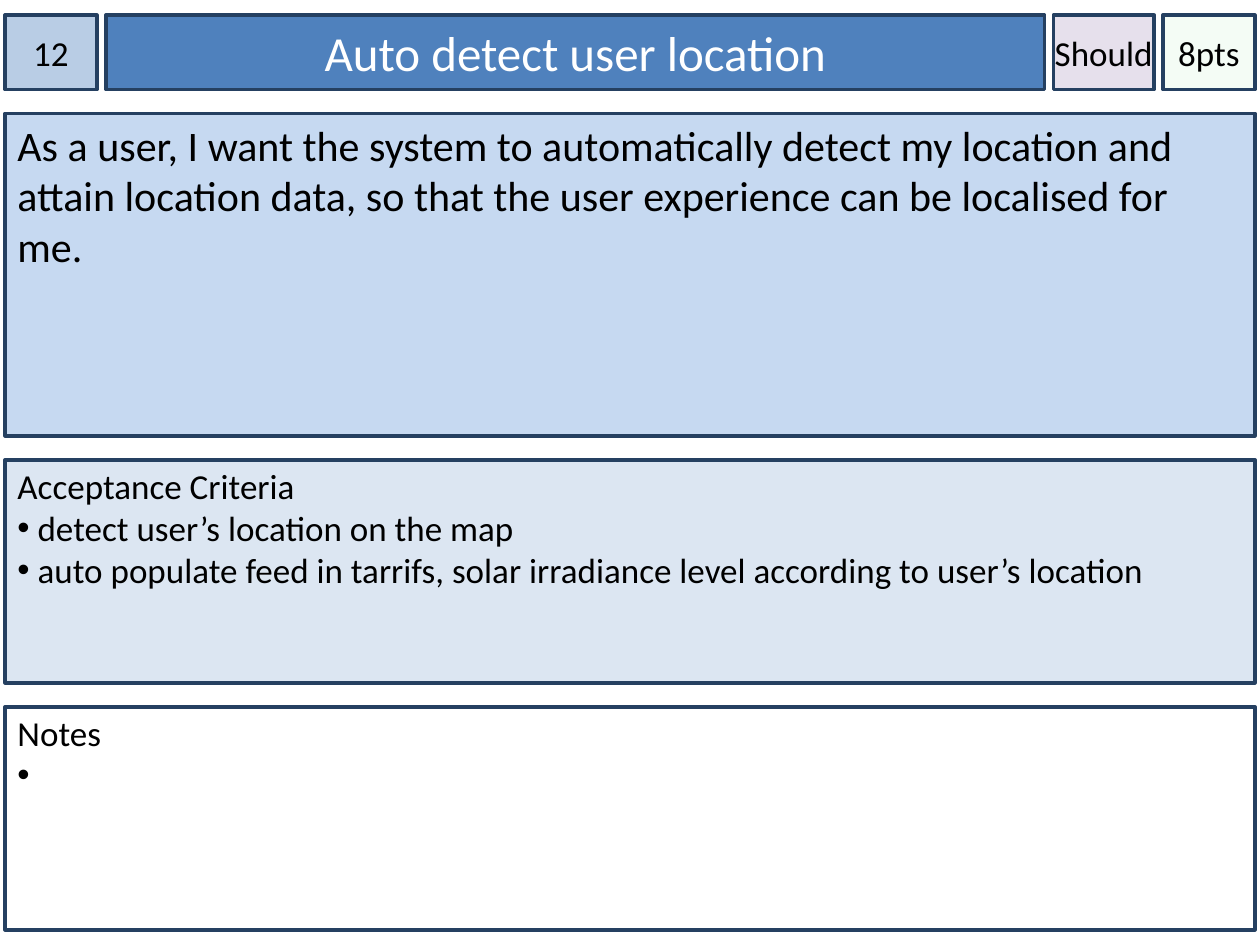
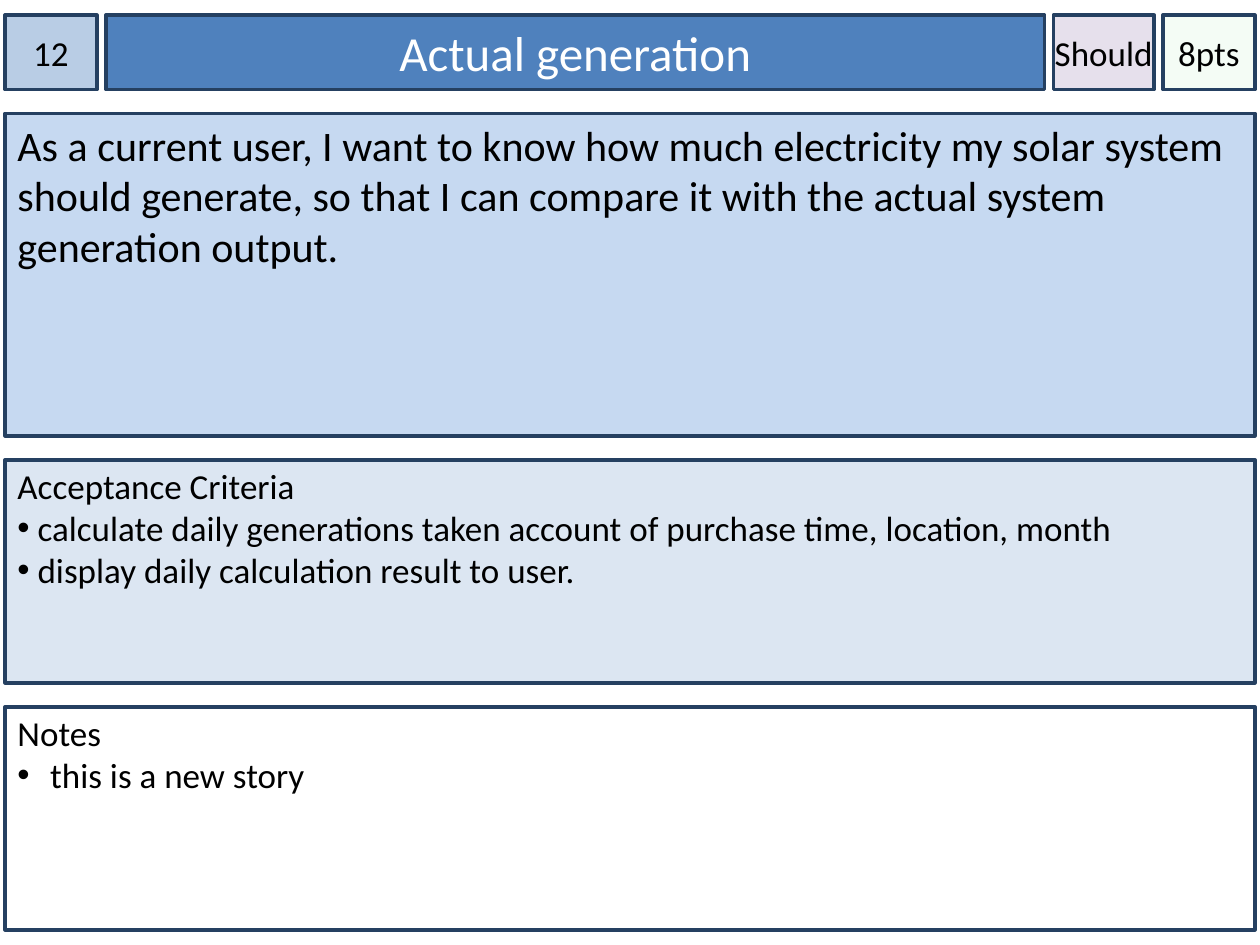
from dataclasses import dataclass
from itertools import accumulate

from lxml.etree import SubElement
from pptx import Presentation
from pptx.dml.color import RGBColor
from pptx.enum.shapes import MSO_SHAPE
from pptx.enum.text import MSO_ANCHOR, PP_ALIGN
from pptx.oxml.ns import qn
from pptx.util import Inches, Pt


# Shared look
@dataclass(frozen=True)
class Theme:
    font: str = "Calibri"
    ink: str = "000000"
    title_ink: str = "FFFFFF"
    outline: str = "254061"
    number_fill: str = "B9CDE5"
    title_fill: str = "4F81BD"
    priority_fill: str = "E6E0EC"
    points_fill: str = "CCF0CD"
    story_fill: str = "C6D9F1"
    criteria_fill: str = "DCE6F2"
    remarks_fill: str = "FFFFFF"
    title_size: int = 28
    story_size: int = 24
    label_size: int = 20
    outline_width: int = 2


@dataclass(frozen=True)
class Card:
    number: str
    title: str
    priority: str
    points: str
    story: str
    criteria: tuple[str, ...]
    remarks: tuple[str, ...]


@dataclass(frozen=True)
class Track:
    """One column or row of the grid, in inches."""
    start: float
    size: float


THEME = Theme()
PAGE_WIDTH, PAGE_HEIGHT = 10, 7.5


def tracks(first: float, gap: float, sizes: tuple[float, ...]) -> list[Track]:
    """Lay sizes one after another with an equal gap."""
    starts = accumulate((size + gap for size in sizes[:-1]), initial=first)
    return [Track(start, size) for start, size in zip(starts, sizes)]


# Grid: four header columns, one full-width column, four rows
MARGIN = 0.04
COLUMNS = tracks(MARGIN, 0.07, (0.73, 7.45, 0.8, 0.73))
FULL_WIDTH = Track(MARGIN, PAGE_WIDTH - 2 * MARGIN)
HEADER, STORY, CRITERIA, REMARKS = tracks(0.12, 0.19, (0.59, 2.56, 1.77, 1.77))


def add_box(page, column: Track, row: Track, fill: str, *, opacity: int = 100,
            side_inset: float = 0.1, top_inset: float = 0.05,
            anchor=MSO_ANCHOR.TOP, wrap: bool = True):
    """Draw an outlined rectangle and return its text frame."""
    box = page.shapes.add_shape(
        MSO_SHAPE.RECTANGLE, Inches(column.start), Inches(row.start),
        Inches(column.size), Inches(row.size))
    box.shadow.inherit = False
    box.fill.solid()
    box.fill.fore_color.rgb = RGBColor.from_string(fill)
    if opacity < 100:
        color = box.element.spPr.find(qn("a:solidFill"))[0]
        SubElement(color, qn("a:alpha"), val=str(opacity * 1000))
    box.line.color.rgb = RGBColor.from_string(THEME.outline)
    box.line.width = Pt(THEME.outline_width)
    frame = box.text_frame
    frame.word_wrap = wrap
    frame.vertical_anchor = anchor
    frame.margin_left = frame.margin_right = Inches(side_inset)
    frame.margin_top, frame.margin_bottom = Inches(top_inset), Inches(0.05)
    return frame


def write(frame, text: str, *, size: int = THEME.label_size, color: str = THEME.ink,
          align=PP_ALIGN.LEFT, bullet_indent: float = 0) -> None:
    """Add one paragraph, using the empty first one when it is free."""
    first = frame.paragraphs[0]
    para = frame.add_paragraph() if first.runs else first
    para.alignment = align
    if bullet_indent:
        properties = para._p.get_or_add_pPr()
        properties.set("marL", str(Inches(bullet_indent)))
        properties.set("indent", str(-Inches(bullet_indent)))
        SubElement(properties, qn("a:buFont"), typeface="Arial")
        SubElement(properties, qn("a:buChar"), char="•")
    span = para.add_run()
    span.text = text
    span.font.name = THEME.font
    span.font.size = Pt(size)
    span.font.color.rgb = RGBColor.from_string(color)


def add_header_cell(page, column: Track, text: str, fill: str, *,
                    size: int = THEME.label_size, color: str = THEME.ink,
                    **box_format) -> None:
    frame = add_box(page, column, HEADER, fill, side_inset=0,
                    anchor=MSO_ANCHOR.MIDDLE, **box_format)
    write(frame, text, size=size, color=color, align=PP_ALIGN.CENTER)


def add_list_panel(page, row: Track, heading: str, items: tuple[str, ...],
                   fill: str, bullet_indent: float) -> None:
    frame = add_box(page, FULL_WIDTH, row, fill, top_inset=0.04)
    write(frame, heading)
    for item in items:
        write(frame, item, bullet_indent=bullet_indent)


def add_card(deck, card: Card) -> None:
    page = deck.slides.add_slide(deck.slide_layouts[6])
    number, title, priority, points = COLUMNS
    # Header
    add_header_cell(page, number, card.number, THEME.number_fill)
    add_header_cell(page, title, card.title, THEME.title_fill,
                    size=THEME.title_size, color=THEME.title_ink)
    add_header_cell(page, priority, card.priority, THEME.priority_fill, wrap=False)
    add_header_cell(page, points, card.points, THEME.points_fill, opacity=20)
    # Panels
    write(add_box(page, FULL_WIDTH, STORY, THEME.story_fill), card.story,
          size=THEME.story_size)
    add_list_panel(page, CRITERIA, "Acceptance Criteria", card.criteria,
                   THEME.criteria_fill, 0.16)
    add_list_panel(page, REMARKS, "Notes", card.remarks, THEME.remarks_fill, 0.26)


CARDS = (
    Card("12", "Auto detect user location", "Should", "8pts",
         "As a user, I want the system to automatically detect my location and "
         "attain location data, so that the user experience can be localised for me.",
         ("detect user’s location on the map",
          "auto populate feed in tarrifs, solar irradiance level according to "
          "user’s location"),
         (" ",)),  # a bullet still waiting for its text
    Card("12", "Actual generation", "Should", "8pts",
         "As a current user, I want to know how much electricity my solar system "
         "should generate, so that I can compare it with the actual system "
         "generation output.",
         ("calculate daily generations taken account of purchase time, location, month",
          "display daily calculation result to user."),
         ("this is a new story",)),
)

deck = Presentation()
deck.slide_width, deck.slide_height = Inches(PAGE_WIDTH), Inches(PAGE_HEIGHT)
for story_card in CARDS:
    add_card(deck, story_card)
deck.save("out.pptx")
